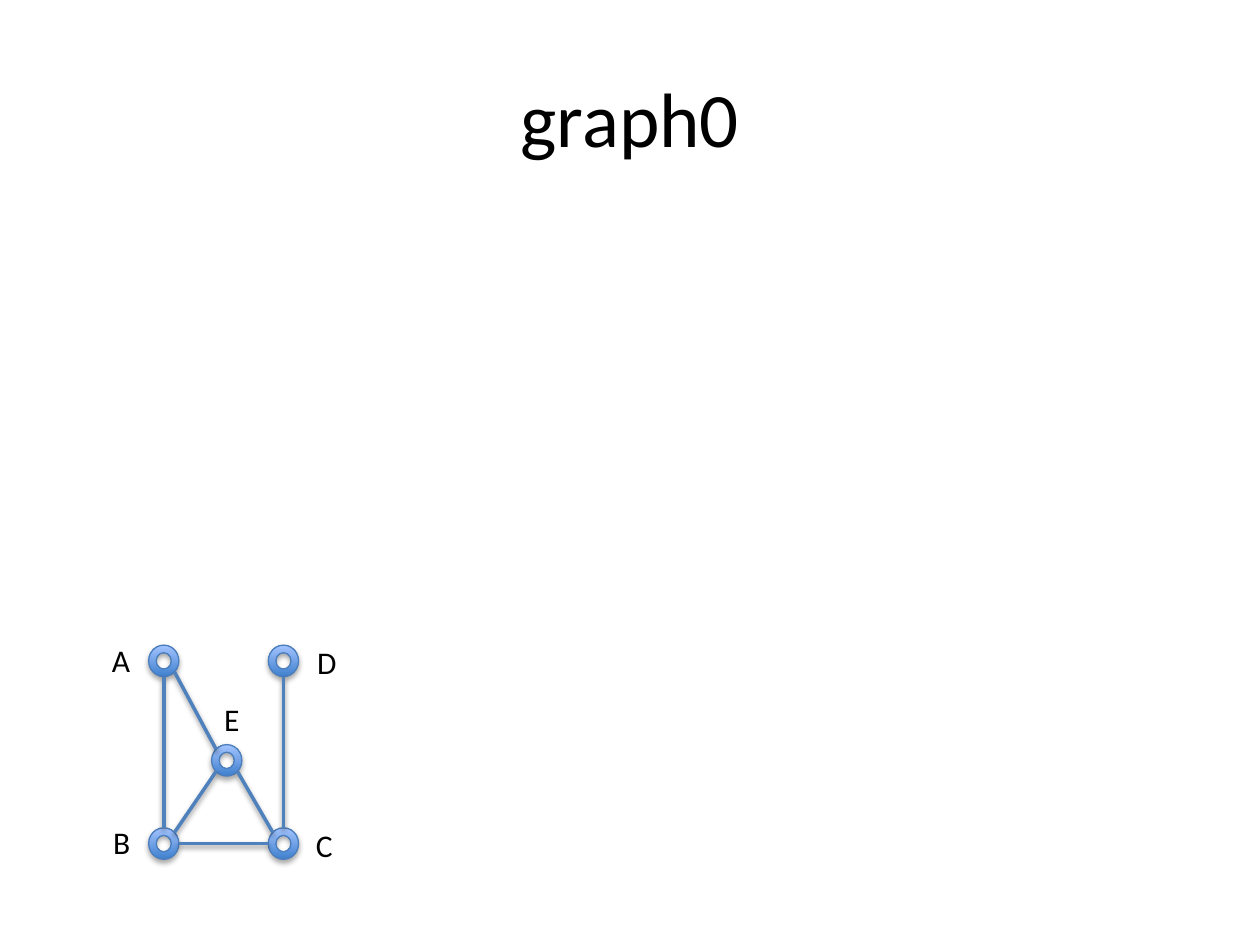
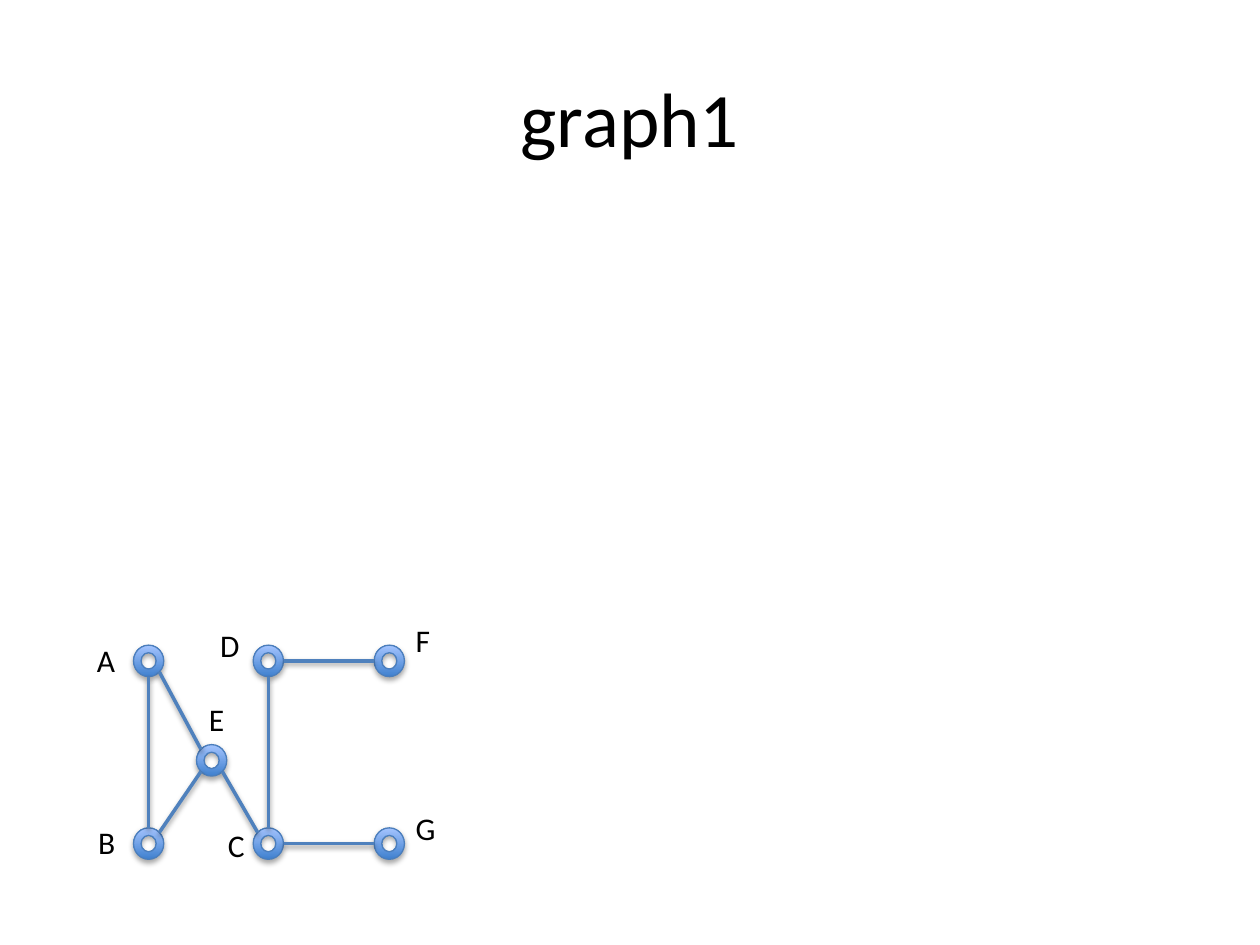
from lxml import etree
from pptx import Presentation
from pptx import util as u
from pptx.dml.color import RGBColor
from pptx.enum import shapes, text
from pptx.oxml import parse_xml

Pt = u.Pt
FONT = "Calibri"
BLACK, EDGE, OUTLINE = "000000", "4F81BD", "4B7EBC"
RING_STOPS = ("3F80CE", "A4C4FF")
RING_WIDTH, RING_HEIGHT = 17.28, 18
NS = "http://schemas.openxmlformats.org/drawingml/2006/main"


def color(value):
    return RGBColor.from_string(value)


def add_shadow(item, opacity, distance):
    """Append a soft downward shadow after the fill and line."""
    properties = item._element.spPr
    for old in properties.findall(f"{{{NS}}}effectLst"):
        properties.remove(old)
    properties.append(parse_xml(
        f'<a:effectLst xmlns:a="{NS}"><a:outerShdw blurRad="{Pt(3.1)}" '
        f'dist="{Pt(distance)}" dir="5400000" rotWithShape="0">'
        f'<a:srgbClr val="{BLACK}"><a:alpha val="{opacity * 1000}"/></a:srgbClr>'
        f'</a:outerShdw></a:effectLst>'))


# Node centres, shared by both graphs
TOP, MIDDLE, BOTTOM = 377.64, 434.52, 482.04
CENTRES = {"A": (93.6, TOP), "B": (93.6, BOTTOM), "E": (129.6, MIDDLE),
           "C": (162, BOTTOM), "D": (162, TOP),
           "F": (231.12, TOP), "G": (231.12, BOTTOM)}
LABEL_WIDTHS = {"A": 25.2, "B": 24.5, "C": 24.5, "D": 25.9,
                "E": 23.8, "F": 23, "G": 25.9}

# Title, shift to the right, edges, label offsets from the node centres
LEFT_LABELS = {"A": (-36.7, -14.8), "B": (-36, -15.5), "E": (-8.6, -37.8)}
GRAPHS = [
    ("graph0", 0, "AB AE EB EC DC CB",
     {**LEFT_LABELS, "C": (11.5, -13.3), "D": (12.2, -14)}),
    ("graph1", -8.64, "AB AE EB EC DC DF CG",
     {**LEFT_LABELS, "C": (-30.2, -13.3), "D": (-34.6, -23.4),
      "F": (7.9, -26.3), "G": (7.9, -23.4)}),
]

deck = Presentation()
deck.slide_width, deck.slide_height = Pt(720), Pt(540)

for title, shift, edges, labels in GRAPHS:
    page = deck.slides.add_slide(deck.slide_layouts[6])
    nodes = {name: (CENTRES[name][0] + shift, CENTRES[name][1]) for name in labels}

    # Rings
    for x, y in nodes.values():
        ring = page.shapes.add_shape(
            shapes.MSO_SHAPE.DONUT, Pt(x - RING_WIDTH / 2), Pt(y - RING_HEIGHT / 2),
            Pt(RING_WIDTH), Pt(RING_HEIGHT))
        ring.fill.gradient()
        ring.fill.gradient_angle = 90
        for position, (stop, value) in enumerate(zip(ring.fill.gradient_stops, RING_STOPS)):
            stop.position = position
            stop.color.rgb = color(value)
        ring.line.color.rgb = color(OUTLINE)
        ring.line.width = Pt(0.75)
        add_shadow(ring, 35, 1.8)

    # Edges run from rim to rim, straight or at the diagonal points
    for start, end in edges.split():
        (x1, y1), (x2, y2) = nodes[start], nodes[end]
        across, down = (x2 > x1) - (x2 < x1), (y2 > y1) - (y2 < y1)
        reach = 0.71 if across and down else 1
        dx = across * reach * RING_WIDTH / 2
        dy = down * reach * RING_HEIGHT / 2
        edge = page.shapes.add_connector(
            shapes.MSO_CONNECTOR.STRAIGHT,
            Pt(x1 + dx), Pt(y1 + dy), Pt(x2 - dx), Pt(y2 - dy))
        edge.line.color.rgb = color(EDGE)
        edge.line.width = Pt(2)
        add_shadow(edge, 38, 1.6)

    # Title and node labels
    captions = [(title, 36, 21.6, 648, 90, 44)]
    for name, (dx, dy) in labels.items():
        x, y = nodes[name]
        captions.append((name, x + dx, y + dy, LABEL_WIDTHS[name], 29, 18))
    for words, left, top, width, height, size in captions:
        box = page.shapes.add_textbox(Pt(left), Pt(top), Pt(width), Pt(height))
        frame = box.text_frame
        para = frame.paragraphs[0]
        frame.word_wrap = words == title
        if words == title:
            frame.vertical_anchor = text.MSO_ANCHOR.MIDDLE
            para.alignment = text.PP_ALIGN.CENTER
        span = para.add_run()
        span.text = words
        span.font.name = FONT
        span.font.size = Pt(size)
        span.font.color.rgb = color(BLACK)

deck.save("out.pptx")
